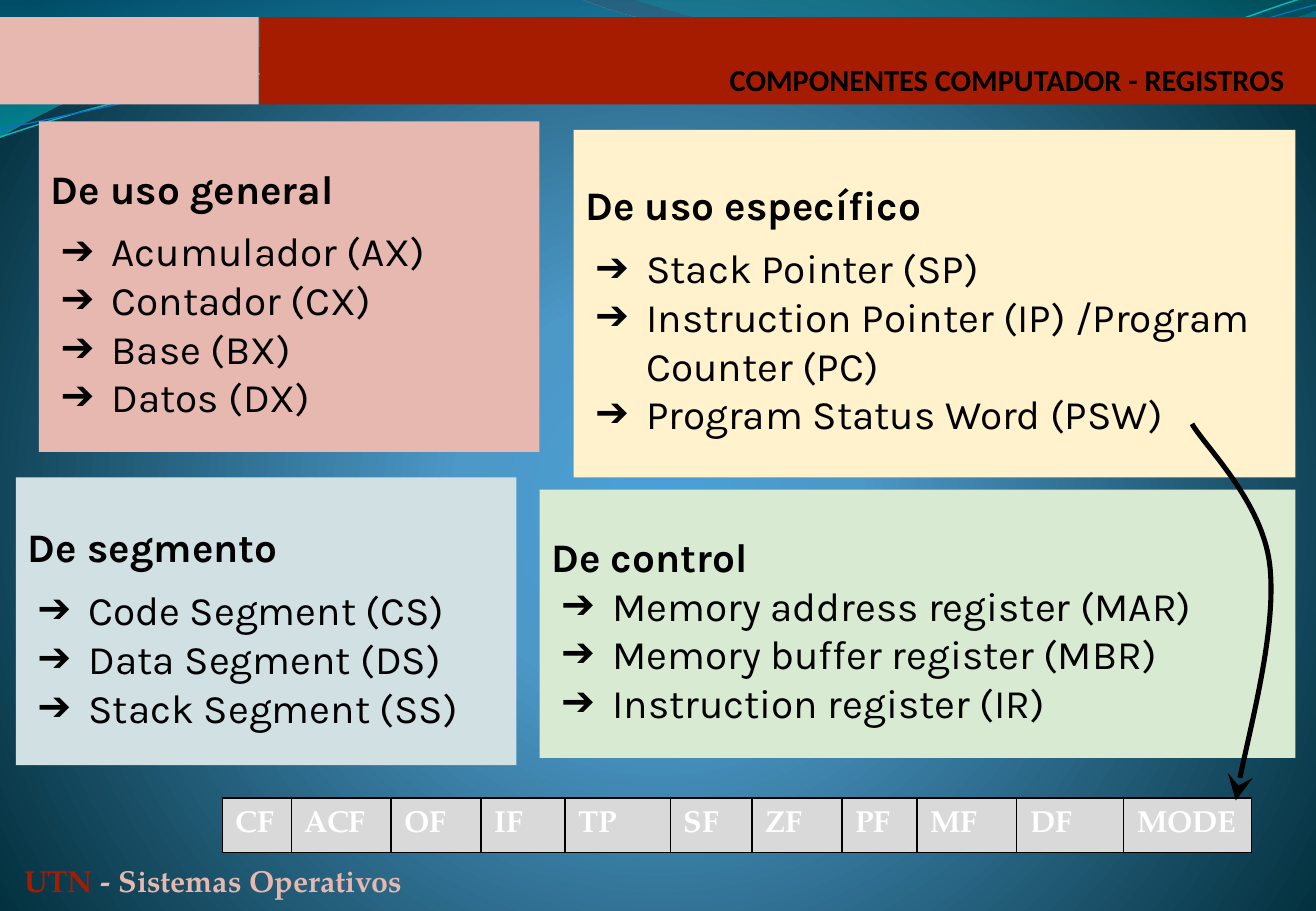
from lxml import etree
from pptx import Presentation
from pptx.dml.color import RGBColor
from pptx.enum.shapes import MSO_SHAPE
from pptx.enum.text import MSO_ANCHOR, PP_ALIGN
from pptx.oxml.ns import qn
from pptx.util import Inches, Pt

RECTANGLE = MSO_SHAPE.RECTANGLE
TOP, MIDDLE, BOTTOM = MSO_ANCHOR.TOP, MSO_ANCHOR.MIDDLE, MSO_ANCHOR.BOTTOM
LEFT, RIGHT = PP_ALIGN.LEFT, PP_ALIGN.RIGHT

BLACK = RGBColor(0x00, 0x00, 0x00)
WHITE = RGBColor(0xFF, 0xFF, 0xFF)
RED = RGBColor(0xA6, 0x1C, 0x00)
PINK = RGBColor(0xE6, 0xB8, 0xAF)
CREAM = RGBColor(0xFF, 0xF2, 0xCC)
PALE_BLUE = RGBColor(0xD0, 0xE0, 0xE3)
PALE_GREEN = RGBColor(0xD9, 0xEA, 0xD3)
GREY = RGBColor(0xD9, 0xD9, 0xD9)
TEAL = RGBColor(0x0A, 0xB8, 0xBF)
BLUE = RGBColor(0x0F, 0x6F, 0xC6)
SKY_STOPS = [(0, RGBColor(0x4A, 0xA0, 0xD6), 100), (25, RGBColor(0x4C, 0x98, 0xC7), 100),
             (100, RGBColor(0x00, 0x2C, 0x38), 100)]
WIDE_WAVE_STOPS = [(0, RGBColor(0x00, 0x74, 0xA1), 45), (100, RGBColor(0x00, 0xC6, 0xCF), 55)]
SMALL_WAVE_STOPS = [(0, RGBColor(0x00, 0xA1, 0xA9), 30), (80, RGBColor(0x00, 0x8B, 0xBF), 45)]

WIDE_WAVE = [(4.77, -0.01), (5.15, 0.17, 7.19, 0.63, 8.22, 0.63),
             (9.24, 0.63, 10.38, 0.26, 10.83, 0.09), (10.84, 0.36),
             (10.65, 0.44, 9.42, 0.76, 8.08, 0.75), (6.74, 0.75, 4.14, 0.28, 2.79, 0.34),
             (1.4, 0.36, 0.5, 0.83, -0.01, 1.13)]
SMALL_WAVE = [(5.52, 0.11, 7.39, 0.62, 8.33, 0.65),
              (9.27, 0.69, 10.42, 0.32, 10.83, 0.21), (10.83, 0)]
TEAL_LINE = [(0.52, 0.95, 1.71, 0.58, 3, 0.53), (4.28, 0.47, 6.42, 0.88, 7.72, 0.79),
             (9.02, 0.7, 10.17, 0.13, 10.81, -0.04)]
BLUE_LINE = [(0.51, 0.98, 1.77, 0.62, 3.07, 0.57), (4.36, 0.52, 6.47, 0.83, 7.76, 0.74),
             (9.06, 0.66, 10.2, 0.19, 10.83, 0.04)]
STATUS_ARROW = [(9.92, 3.68, 10.39, 4.13, 10.45, 4.65), (10.51, 5.17, 10.22, 6.26, 10.17, 6.59)]

REGISTER_GROUPS = [
    ((0.32, 1, 4.12, 2.72), PINK, "De uso general", 8.5,
     ["Acumulador (AX)", "Contador (CX)", "Base (BX)", "Datos (DX)"]),
    ((4.72, 1.07, 5.94, 2.86), CREAM, "De uso específico", 8.5,
     ["Stack Pointer (SP)", "Instruction Pointer (IP) /Program Counter (PC)",
      "Program Status Word (PSW)"]),
    ((0.13, 3.93, 4.12, 2.37), PALE_BLUE, "De segmento", 8.5,
     ["Code Segment (CS)", "Data Segment (DS)", "Stack Segment (SS)"]),
    ((4.44, 4.03, 6.22, 2.21), PALE_GREEN, "De control", 0,
     ["Memory address register (MAR)", "Memory buffer register (MBR)",
      "Instruction register (IR)"]),
]
FLAGS = {"CF": 0.57, "ACF": 0.82, "OF": 0.74, "IF": 0.69, "TP": 0.87, "SF": 0.67,
         "ZF": 0.74, "PF": 0.62, "MF": 0.82, "DF": 0.88, "MODE": 1.05}


def add_child(parent, tag, **attributes):
    """Append a drawing element and return it."""
    child = etree.SubElement(parent, qn(tag))
    for name, value in attributes.items():
        child.set(name, str(value))
    return child


class SlideBuilder:
    """Hold the style and the current slide."""

    body_font, title_font, serif_font = "Karla", "Calibri", "TeX Gyre Pagella"
    body_size, label_size = 24, 18

    def __init__(self, slide):
        """Keep the slide to draw on."""
        self.slide = slide

    def gradient(self, fill, element, stops, focus=None):
        """Fill with a vertical gradient, or a circular one around a focus."""
        fill.gradient()
        gradient = element.find(".//" + qn("a:gradFill"))
        for child in list(gradient):
            gradient.remove(child)
        stop_list = add_child(gradient, "a:gsLst")
        for position, color, opacity in stops:
            stop = add_child(stop_list, "a:gs", pos=position * 1000)
            color_element = add_child(stop, "a:srgbClr", val=color)
            if opacity < 100:
                add_child(color_element, "a:alpha", val=opacity * 1000)
        if focus:
            circle = add_child(gradient, "a:path", path="circle")
            add_child(circle, "a:fillToRect", **focus)
        else:
            add_child(gradient, "a:lin", ang=5400000, scaled=0)

    def background(self, stops, focus):
        """Paint the slide background."""
        self.gradient(self.slide.background.fill, self.slide.element, stops, focus)

    def outline(self, start, segments, closed):
        """Add a freeform of straight segments and cubic curves."""
        builder = self.slide.shapes.build_freeform(*map(Inches, start))
        for segment in segments:
            points = zip(segment[::2], segment[1::2])
            builder.add_line_segments([(Inches(x), Inches(y)) for x, y in points], close=False)
        if closed:
            builder.add_line_segments([], close=True)
        shape = builder.convert_to_shape()
        shape.shadow.inherit = False
        lines = iter(list(shape.element.iter(qn("a:lnTo"))))
        for segment in segments:
            first, *others = [next(lines) for _ in segment[::2]]
            if others:
                first.tag = qn("a:cubicBezTo")
                for line in others:
                    first.append(line[0])
                    line.getparent().remove(line)
        return shape

    def wave(self, start, segments, stops):
        """Add a translucent wave."""
        shape = self.outline(start, segments, True)
        self.gradient(shape.fill, shape.element, stops)
        shape.line.fill.background()

    def curve(self, start, segments, color, width, arrow=False):
        """Add an open curve, with an arrowhead if asked."""
        shape = self.outline(start, segments, False)
        shape.fill.background()
        shape.line.color.rgb = color
        shape.line.width = Pt(width)
        if arrow:
            add_child(shape.element.spPr.find(qn("a:ln")), "a:tailEnd",
                      type="stealth", w="lg", len="lg")

    def rectangle(self, place, color):
        """Add a filled rectangle without outline."""
        shape = self.slide.shapes.add_shape(RECTANGLE, *map(Inches, place))
        shape.shadow.inherit = False
        shape.fill.solid()
        shape.fill.fore_color.rgb = color
        shape.line.fill.background()
        return shape

    def frame(self, shape, anchor, top=0.1):
        """Set wrapping, anchor and insets, and return the text frame."""
        frame = shape.text_frame
        frame.word_wrap = True
        frame.vertical_anchor = anchor
        frame.margin_left = frame.margin_right = frame.margin_bottom = Inches(0.1)
        frame.margin_top = Inches(top)
        return frame

    def run(self, paragraph, text, font, size, color, bold=True):
        """Add one styled run."""
        run = paragraph.add_run()
        run.text = text
        run.font.name = font
        run.font.size = Pt(size)
        run.font.bold = bold
        run.font.color.rgb = color

    def label(self, place, runs, font, align=LEFT, anchor=TOP):
        """Add a text box with one line of coloured runs."""
        box = self.slide.shapes.add_textbox(*map(Inches, place))
        paragraph = self.frame(box, anchor).paragraphs[0]
        paragraph.alignment = align
        for text, color in runs:
            self.run(paragraph, text, font, self.label_size, color)

    def register_group(self, place, color, heading, gap, registers):
        """Add a coloured panel with a heading and arrow bullets."""
        frame = self.frame(self.rectangle(place, color), MIDDLE, top=0.19)
        paragraph = frame.paragraphs[0]
        paragraph.alignment = LEFT
        paragraph.space_after = Pt(gap)
        self.run(paragraph, heading, self.body_font, self.body_size, BLACK)
        for register in registers:
            paragraph = frame.add_paragraph()
            paragraph.alignment = LEFT
            properties = paragraph._p.get_or_add_pPr()
            properties.set("marL", str(Inches(0.5)))
            properties.set("indent", str(Inches(-0.42)))
            add_child(add_child(properties, "a:buClr"), "a:srgbClr", val=BLACK)
            add_child(properties, "a:buFont", typeface=self.body_font)
            add_child(properties, "a:buChar", char="➔")
            self.run(paragraph, register, self.body_font, self.body_size, BLACK, False)

    def flag_table(self, left, top, height, flags):
        """Add the one-row table of status flags."""
        table = self.slide.shapes.add_table(
            1, len(flags), Inches(left), Inches(top),
            Inches(sum(flags.values())), Inches(height)).table
        table.first_row = table.horz_banding = False
        for column, (flag, width) in enumerate(flags.items()):
            table.columns[column].width = Inches(width)
            cell = table.cell(0, column)
            cell.margin_left = cell.margin_right = Inches(0.11)
            cell.margin_top, cell.margin_bottom = Inches(0.1), Inches(0.05)
            properties = cell._tc.get_or_add_tcPr()
            for side in ("a:lnL", "a:lnR", "a:lnT", "a:lnB"):
                border = add_child(properties, side, w=Pt(1))
                add_child(add_child(border, "a:solidFill"), "a:srgbClr", val=BLACK)
            cell.fill.solid()
            cell.fill.fore_color.rgb = GREY
            self.run(cell.text_frame.paragraphs[0], flag, self.serif_font,
                     self.label_size, WHITE)


def main():
    """Build and save the slide."""
    presentation = Presentation()
    presentation.slide_width, presentation.slide_height = Inches(10.83), Inches(7.5)
    builder = SlideBuilder(presentation.slides.add_slide(presentation.slide_layouts[6]))
    builder.background(SKY_STOPS, {"l": 10000, "t": 110000, "r": 10000, "b": 100000})
    builder.wave((0, 0), WIDE_WAVE, WIDE_WAVE_STOPS)
    builder.wave((5.19, -0.01), SMALL_WAVE, SMALL_WAVE_STOPS)
    builder.curve((0, 1.13), TEAL_LINE, TEAL, 0.85)
    builder.curve((0, 1.06), BLUE_LINE, BLUE, 0.75)
    builder.rectangle((0, 0.14, 2.13, 0.72), PINK)
    builder.rectangle((2.14, 0.14, 8.69, 0.72), RED)
    builder.label((1.46, 0.4, 9.21, 0.5), [("COMPONENTES COMPUTADOR - REGISTROS", BLACK)],
                  builder.title_font, RIGHT, BOTTOM)
    builder.label((0.1, 7, 10.63, 0.44), [("UTN ", RED), ("- Sistemas Operativos", PINK)],
                  builder.serif_font)
    for group in REGISTER_GROUPS:
        builder.register_group(*group)
    builder.flag_table(1.83, 6.57, 0.42, FLAGS)
    builder.curve((9.81, 3.49), STATUS_ARROW, BLACK, 3, arrow=True)
    presentation.save("out.pptx")


if __name__ == "__main__":
    main()
